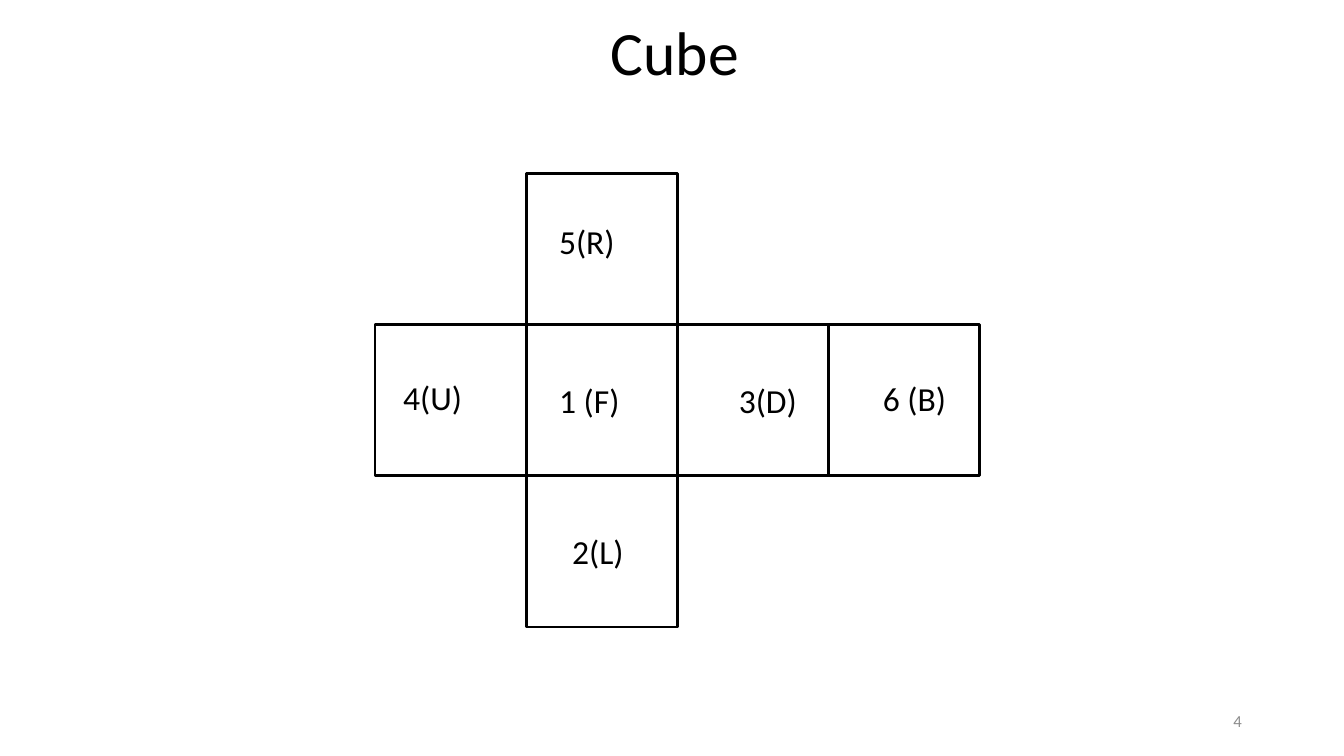
from dataclasses import dataclass

from pptx import Presentation
from pptx.dml.color import RGBColor
from pptx.enum.shapes import MSO_SHAPE as Shape
from pptx.enum.text import MSO_ANCHOR as Anchor, MSO_AUTO_SIZE as AutoSize, PP_ALIGN as Align
from pptx.util import Cm, Pt

TITLE = "Cube"
PAGE_NUMBER = "4"

# label, (column, row) in the net, label offset inside the face (cm), label width (cm)
FACES = [
    ("1 (F)", (1, 1), (0.58, 1.27), 2.31),
    ("2(L)", (1, 2), (0.91, 1.27), 2.26),
    ("5(R)", (1, 0), (0.58, 1.07), 2.57),
    ("3(D)", (2, 1), (1.3, 1.27), 2.18),
    ("6 (B)", (3, 1), (1.12, 1.22), 2.67),
    ("4(U)", (0, 1), (0.46, 1.19), 2.16),
]
NET_LEFT, NET_TOP, FACE_SIDE = 9.45, 4.37, 3.81
LABEL_HEIGHT = 1.27


@dataclass(frozen=True)
class Theme:
    font: str = "Calibri"
    ink: RGBColor = RGBColor(0x00, 0x00, 0x00)
    muted: RGBColor = RGBColor(0x8C, 0x8C, 0x8C)
    title_size: Pt = Pt(44)
    label_size: Pt = Pt(24)
    number_size: Pt = Pt(12)
    outline: Pt = Pt(2)


THEME = Theme()


def write(box, text, size, color=THEME.ink, align=Align.LEFT, anchor=Anchor.TOP):
    frame = box.text_frame
    frame.word_wrap = True
    frame.vertical_anchor = anchor
    para = frame.paragraphs[0]
    para.alignment = align
    span = para.add_run()
    span.text = text
    span.font.name = THEME.font
    span.font.size = size
    span.font.color.rgb = color
    return para


def add_title(page):
    title = page.shapes.title
    title.left, title.top, title.width, title.height = Cm(0.51), Cm(0.1), Cm(32.99), Cm(2.59)
    para = write(title, TITLE, THEME.title_size, align=Align.CENTER, anchor=Anchor.MIDDLE)
    para.line_spacing = 0.9


def face_corner(cell):
    column, row = cell
    return NET_LEFT + column * FACE_SIDE, NET_TOP + row * FACE_SIDE


def add_face(page, cell):
    left, top = face_corner(cell)
    face = page.shapes.add_shape(
        Shape.RECTANGLE, Cm(left), Cm(top), Cm(FACE_SIDE), Cm(FACE_SIDE))
    face.shadow.inherit = False
    face.fill.background()
    face.line.color.rgb = THEME.ink
    face.line.width = THEME.outline


def add_label(page, label, cell, offset, width):
    left, top = face_corner(cell)
    box = page.shapes.add_textbox(
        Cm(left + offset[0]), Cm(top + offset[1]), Cm(width), Cm(LABEL_HEIGHT))
    write(box, label, THEME.label_size)
    box.text_frame.auto_size = AutoSize.SHAPE_TO_FIT_TEXT


def add_page_number(page):
    box = page.shapes.add_textbox(Cm(23.93), Cm(17.65), Cm(7.62), Cm(1.02))
    write(box, PAGE_NUMBER, THEME.number_size, THEME.muted, Align.RIGHT, Anchor.MIDDLE)


def main():
    deck = Presentation()
    deck.slide_width, deck.slide_height = Cm(33.87), Cm(19.05)
    page = deck.slides.add_slide(deck.slide_layouts.get_by_name("Title Only"))
    add_title(page)
    for _, cell, _, _ in FACES:
        add_face(page, cell)
    for label, cell, offset, width in FACES:
        add_label(page, label, cell, offset, width)
    add_page_number(page)
    deck.save("out.pptx")


if __name__ == "__main__":
    main()
